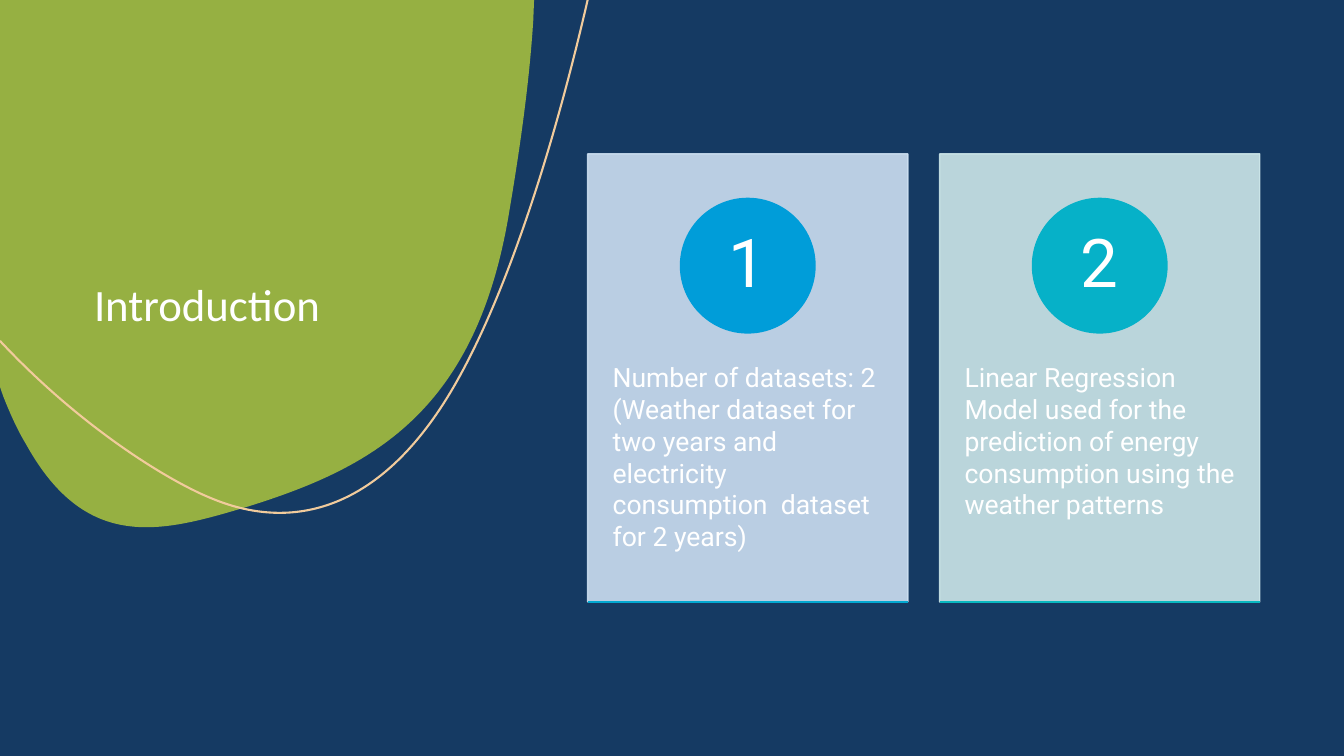
from dataclasses import dataclass

import pptx
import pptx.dml.color
import pptx.enum.shapes
import pptx.enum.text
import pptx.oxml.ns
import pptx.util
from lxml import etree

Cm = pptx.util.Cm
Pt = pptx.util.Pt
RGBColor = pptx.dml.color.RGBColor
MSO_SHAPE = pptx.enum.shapes.MSO_SHAPE
MSO_ANCHOR = pptx.enum.text.MSO_ANCHOR
PP_ALIGN = pptx.enum.text.PP_ALIGN
qn = pptx.oxml.ns.qn

NAVY = RGBColor(0x15, 0x3A, 0x63)
GREEN = RGBColor(0x96, 0xB0, 0x42)
PEACH = RGBColor(0xF1, 0xCB, 0x9C)
WHITE = RGBColor(0xFF, 0xFF, 0xFF)
PALE_BLUE = RGBColor(0xCC, 0xDF, 0xF1)
PALE_TEAL = RGBColor(0xCC, 0xE6, 0xE9)
BLUE = RGBColor(0x00, 0x9D, 0xD9)
TEAL = RGBColor(0x06, 0xB1, 0xC8)
BLUE_BASE = RGBColor(0x03, 0xA8, 0xD1)
TEAL_BASE = RGBColor(0x09, 0xB8, 0xC0)

CARD_LEFT, CARD_TOP, CARD_W, CARD_H = 14.81, 3.88, 8.07, 11.29
CARD_PITCH = 8.87
CIRCLE_TOP, CIRCLE_D = 5.0, 3.39
NUMBER_D = 2.39
BODY_TOP, BODY_H = 8.18, 6.78

Point = tuple[float, float]


@dataclass
class Card:
    number: str
    text: str
    fill: RGBColor
    circle: RGBColor
    base: RGBColor


@dataclass
class TextStyle:
    font: str
    size: float
    anchor: MSO_ANCHOR = MSO_ANCHOR.TOP
    align: PP_ALIGN = PP_ALIGN.LEFT
    spacing: float = 1.0
    inset_x: float = 0.25
    inset_y: float = 0.13


CARDS = [
    Card("1", "Number of datasets: 2 (Weather dataset for two years and "
         "electricity consumption  dataset for 2 years)", PALE_BLUE, BLUE, BLUE_BASE),
    Card("2", "Linear Regression Model used for the prediction of energy "
         "consumption using the weather patterns", PALE_TEAL, TEAL, TEAL_BASE),
]
TITLE = TextStyle("Calibri", 32, MSO_ANCHOR.BOTTOM, spacing=0.9)
BODY = TextStyle("Roboto", 19, inset_x=0.63, inset_y=0.91)
NUMBER = TextStyle("Roboto", 48, MSO_ANCHOR.MIDDLE, PP_ALIGN.CENTER, 0.9, 0.25, 0.03)

BLOB = [
    [(13.46, 0)],
    [(13.44, 0.51)],
    [(13.34, 2.08), (13.11, 3.71), (12.83, 5.36)],
    [(11.99, 10.44), (9.32, 11.81), (6.2, 12.78)],
    [(4.09, 13.41), (2.18, 13.94), (0.66, 11.2)],
    [(0.43, 10.82), (0.25, 10.41), (0.08, 9.98)],
    [(0, 9.75)],
    [(0, 0)],
]
SWOOSH = [
    [(14.81, 0)],
    [(13.89, 3.99), (12.73, 7.44), (11.53, 9.58)],
    [(9.73, 12.8), (7.47, 13.44), (5.36, 12.57)],
    [(4.39, 12.19), (2.13, 10.87), (0, 8.59)],
]


def add_outline(s: pptx.slide.Slide, segments: list[list[Point]], close: bool):
    points = [(Cm(x), Cm(y)) for segment in segments for x, y in segment]
    builder = s.shapes.build_freeform(*points[0])
    builder.add_line_segments(points[1:], close=close)
    sp = builder.convert_to_shape()
    sp.shadow.inherit = False
    steps = iter(list(sp.element.spPr.iter(qn("a:lnTo"))))
    for segment in segments[1:]:
        step = next(steps)
        if len(segment) == 3:
            curve = etree.Element(qn("a:cubicBezTo"))
            step.addprevious(curve)
            for part in (step, next(steps), next(steps)):
                curve.append(part[0])
                part.getparent().remove(part)
    return sp


def set_alpha(color_parent, percent: int) -> None:
    for color in color_parent.iter(qn("a:srgbClr")):
        etree.SubElement(color, qn("a:alpha"), val=str(percent * 1000))


def add_filled(s: pptx.slide.Slide, kind: MSO_SHAPE, x: float, y: float,
               w: float, h: float, color: RGBColor):
    sp = s.shapes.add_shape(kind, Cm(x), Cm(y), Cm(w), Cm(h))
    sp.shadow.inherit = False
    sp.fill.solid()
    sp.fill.fore_color.rgb = color
    sp.line.color.rgb = color
    sp.line.width = Pt(1)
    return sp


def add_text(s: pptx.slide.Slide, text: str, x: float, y: float,
             w: float, h: float, style: TextStyle) -> None:
    tf = s.shapes.add_textbox(Cm(x), Cm(y), Cm(w), Cm(h)).text_frame
    tf.word_wrap = True
    tf.vertical_anchor = style.anchor
    tf.margin_left = tf.margin_right = Cm(style.inset_x)
    tf.margin_top = tf.margin_bottom = Cm(style.inset_y)
    p = tf.paragraphs[0]
    p.text = text
    p.alignment = style.align
    p.line_spacing = style.spacing
    p.font.name = style.font
    p.font.size = Pt(style.size)
    p.font.color.rgb = WHITE


def add_card(s: pptx.slide.Slide, card: Card, x: float) -> None:
    panel = add_filled(s, MSO_SHAPE.RECTANGLE, x, CARD_TOP, CARD_W, CARD_H, card.fill)
    set_alpha(panel.element.spPr, 90)
    add_text(s, card.text, x, BODY_TOP, CARD_W, BODY_H, BODY)
    add_filled(s, MSO_SHAPE.OVAL, x + (CARD_W - CIRCLE_D) / 2, CIRCLE_TOP,
               CIRCLE_D, CIRCLE_D, card.circle)
    add_text(s, card.number, x + (CARD_W - NUMBER_D) / 2,
             CIRCLE_TOP + (CIRCLE_D - NUMBER_D) / 2, NUMBER_D, NUMBER_D, NUMBER)
    bottom = Cm(CARD_TOP + CARD_H)
    base = s.shapes.add_connector(pptx.enum.shapes.MSO_CONNECTOR.STRAIGHT,
                                  Cm(x), bottom, Cm(x + CARD_W), bottom)
    base.line.color.rgb = card.base
    base.line.width = Pt(1)
    etree.SubElement(base.element.spPr, qn("a:effectLst"))


def main() -> None:
    prs = pptx.Presentation()
    prs.slide_width = Cm(33.87)
    prs.slide_height = Cm(19.05)
    s = prs.slides.add_slide(prs.slide_layouts[6])
    s.background.fill.solid()
    s.background.fill.fore_color.rgb = NAVY

    blob = add_outline(s, BLOB, close=True)
    blob.fill.solid()
    blob.fill.fore_color.rgb = GREEN
    blob.line.fill.background()

    swoosh = add_outline(s, SWOOSH, close=False)
    swoosh.fill.background()
    swoosh.line.color.rgb = PEACH
    swoosh.line.width = Pt(1.5)

    add_text(s, "Introduction", 2.12, 2.12, 8.47, 6.35, TITLE)
    for i, card in enumerate(CARDS):
        add_card(s, card, CARD_LEFT + i * CARD_PITCH)
    prs.save("out.pptx")


if __name__ == "__main__":
    main()
